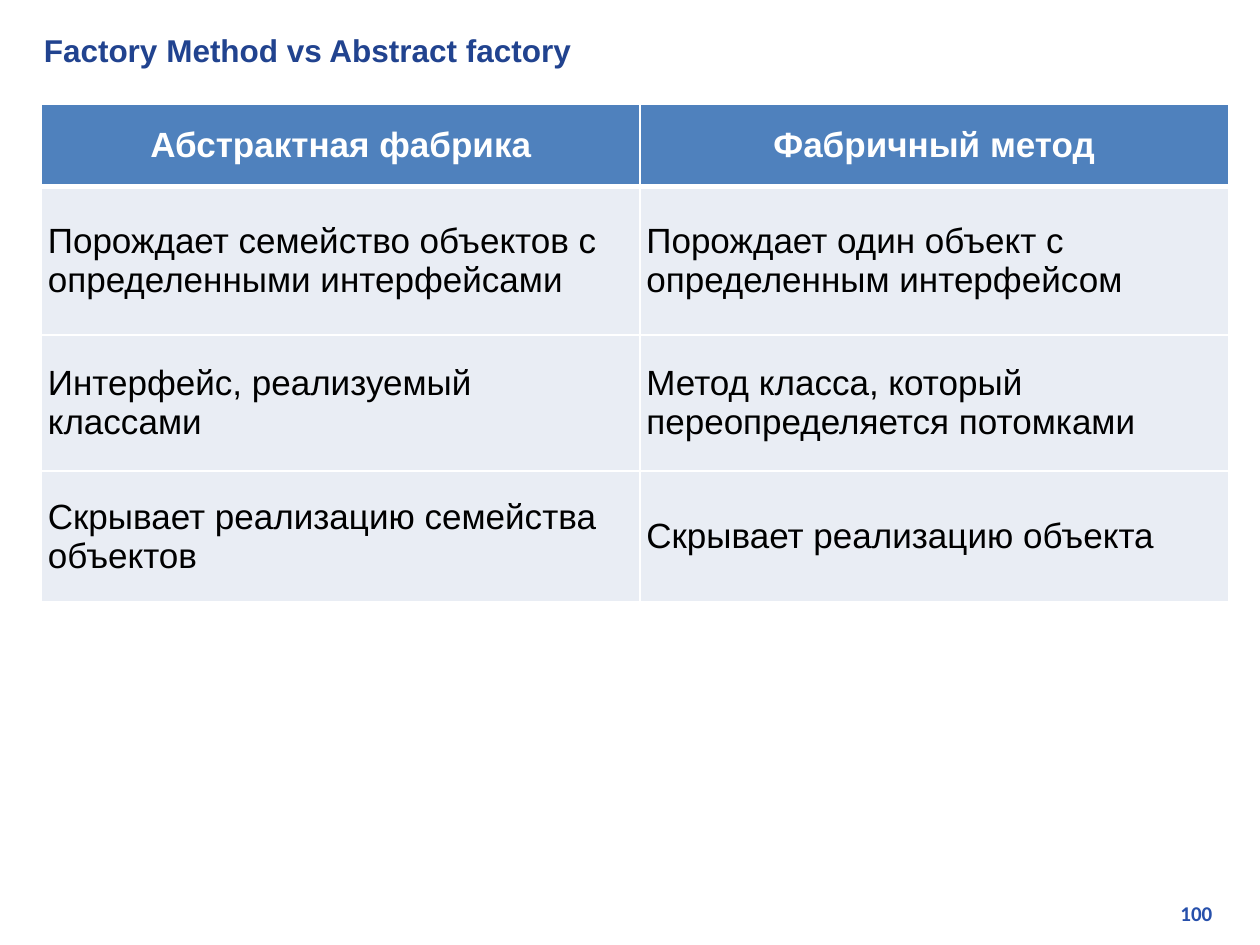
from lxml import etree
from pptx import Presentation
from pptx import util as u
from pptx.dml.color import RGBColor
from pptx.enum import text
from pptx.oxml import ns

WHITE = RGBColor(0xFF, 0xFF, 0xFF)
BLACK = RGBColor(0, 0, 0)
TITLE_BLUE = RGBColor(0x21, 0x43, 0x8F)
NUMBER_BLUE = RGBColor(0x27, 0x50, 0xAB)
HEADER_BLUE = RGBColor(0x4F, 0x81, 0xBD)
BODY_FILL = RGBColor(0xE9, 0xED, 0xF4)


def write(frame, words, size, font, color, bold, align):
    frame.word_wrap = True
    para = frame.paragraphs[0]
    para.alignment = align
    span = para.add_run()
    span.text = words
    span.font.color.rgb = color
    for name, value in {"size": u.Pt(size), "name": font, "bold": bold}.items():
        setattr(span.font, name, value)


def add_border(cell, side, points):
    line = etree.SubElement(cell._tc.get_or_add_tcPr(), ns.qn(f"a:ln{side}"), w=str(u.Pt(points)))
    fill = etree.SubElement(line, ns.qn("a:solidFill"))
    etree.SubElement(fill, ns.qn("a:srgbClr"), val=str(WHITE))


deck = Presentation()
deck.slide_width, deck.slide_height = u.Inches(10), u.Inches(7.5)
page = deck.slides.add_slide(deck.slide_layouts[6])

labels = [
    ((7.6, 7.1, 2.12, 0.3), "100", 12, "Calibri", NUMBER_BLUE, text.PP_ALIGN.RIGHT),
    ((0.25, 0.2, 9.54, 0.4), "Factory Method vs Abstract factory", 18, "Arial", TITLE_BLUE, text.PP_ALIGN.LEFT),
]
for place, words, size, font, color, align in labels:
    box = page.shapes.add_textbox(*map(u.Inches, place))
    box.text_frame.vertical_anchor = text.MSO_ANCHOR.MIDDLE
    write(box.text_frame, words, size, font, color, True, align)

rows = [
    ("Абстрактная фабрика", "Фабричный метод"),
    ("Порождает семейство объектов с определенными интерфейсами", "Порождает один объект с определенным интерфейсом"),
    ("Интерфейс, реализуемый классами", "Метод класса, который переопределяется потомками"),
    ("Скрывает реализацию семейства объектов", "Скрывает реализацию объекта"),
]
widths = [4.75, 4.67]
heights = [0.65, 1.18, 1.08, 1.04]
place = map(u.Inches, (0.33, 0.83, sum(widths), sum(heights)))
table = page.shapes.add_table(len(rows), len(widths), *place).table
table.horz_banding = False
for column, width in zip(table.columns, widths):
    column.width = u.Inches(width)

for index, (row, height, entries) in enumerate(zip(table.rows, heights, rows)):
    row.height = u.Inches(height)
    header = index == 0
    side, edge = (0.1, 0.05) if header else (0.05, 0.02)
    settings = {
        "vertical_anchor": text.MSO_ANCHOR.MIDDLE,
        "margin_left": u.Inches(side),
        "margin_right": u.Inches(side),
        "margin_top": u.Inches(edge),
        "margin_bottom": u.Inches(edge),
    }
    borders = {"L": 1, "R": 1, "T": 3 if index == 1 else 1, "B": 3 if header else 1}
    for cell, words in zip(row.cells, entries):
        for name, value in settings.items():
            setattr(cell, name, value)
        for name, points in borders.items():
            add_border(cell, name, points)
        cell.fill.solid()
        cell.fill.fore_color.rgb = HEADER_BLUE if header else BODY_FILL
        write(cell.text_frame, words, 20, "Arial", WHITE if header else BLACK, header,
              text.PP_ALIGN.CENTER if header else text.PP_ALIGN.LEFT)

deck.save("out.pptx")
